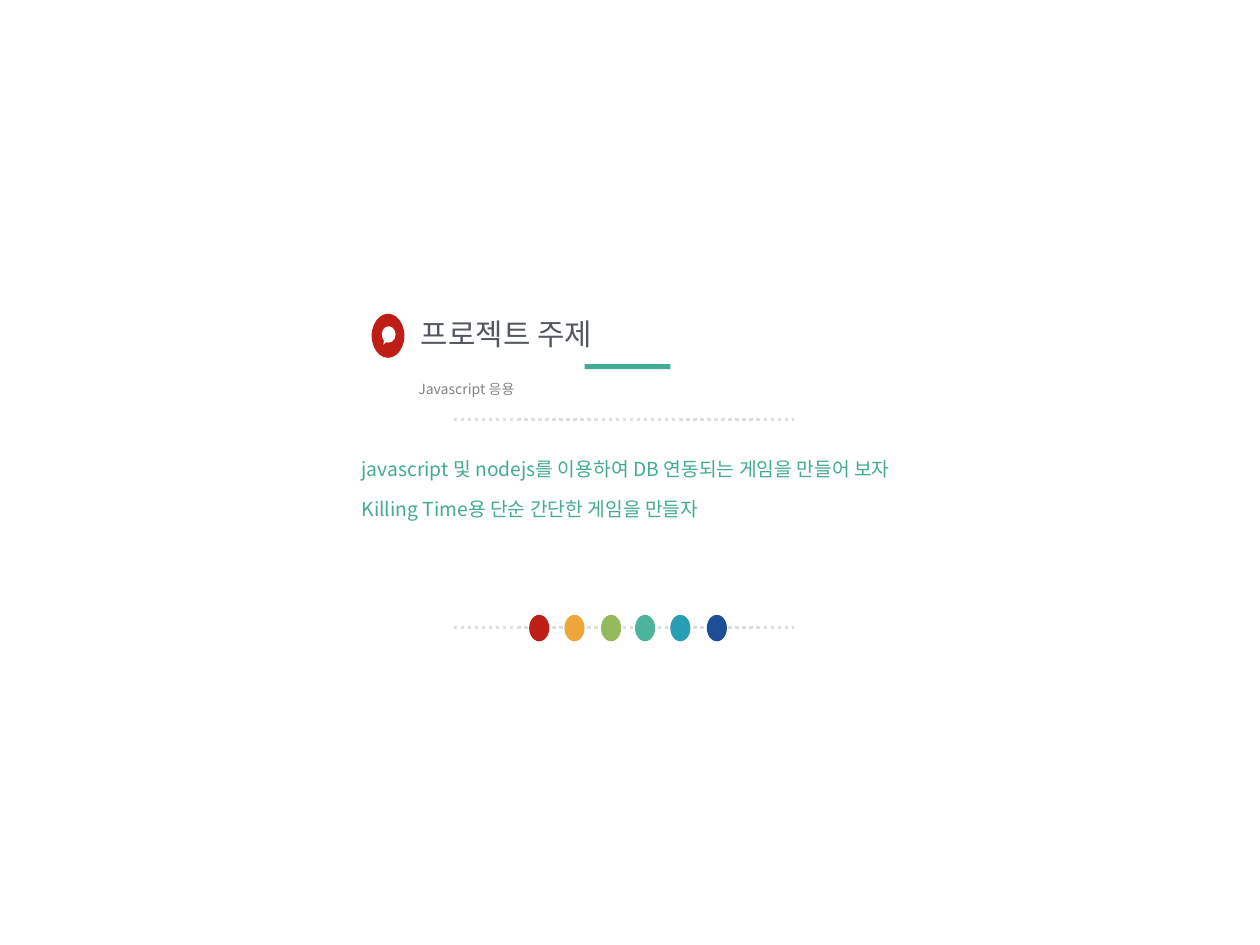
from dataclasses import dataclass

from pptx import Presentation
from pptx.dml.color import RGBColor
from pptx.enum.dml import MSO_LINE
from pptx.enum.shapes import MSO_CONNECTOR, MSO_SHAPE
from pptx.enum.text import MSO_ANCHOR
from pptx.oxml.ns import qn
from pptx.util import Inches, Pt
from lxml.etree import SubElement


@dataclass(frozen=True)
class Theme:
    font: str = "Noto Sans CJK KR"
    title_size: float = 17
    body_size: float = 11
    caption_size: float = 8
    title: str = "53585F"
    caption: str = "838383"
    accent: str = "43AB92"
    rule: str = "DCDEE0"
    badge: str = "BF1E16"
    bubble: str = "FFFFFF"
    dots: tuple = ("BF1E16", "EEA53A", "95BA5E", "4CB49C", "289EB5", "1D4F96")


theme = Theme()


def add_filled(shapes, kind, left, top, width, height, color):
    shape = shapes.add_shape(kind, Inches(left), Inches(top), Inches(width), Inches(height))
    shape.shadow.inherit = False
    shape.fill.solid()
    shape.fill.fore_color.rgb = RGBColor.from_string(color)
    shape.line.fill.background()
    return shape


def add_text(slide, left, top, width, height, lines, size, color, inset=0, spaced=True):
    box = slide.shapes.add_textbox(Inches(left), Inches(top), Inches(width), Inches(height))
    frame = box.text_frame
    frame.word_wrap = True
    frame.margin_left = frame.margin_right = Inches(inset)
    frame.margin_top = frame.margin_bottom = Inches(inset)
    for index, line in enumerate(lines):
        para = frame.add_paragraph() if index else frame.paragraphs[0]
        if spaced:
            para.line_spacing = 1.2
            para.space_before = Pt(7.1)
        span = para.add_run()
        span.text = line
        span.font.size = Pt(size)
        span.font.name = theme.font
        span.font.color.rgb = RGBColor.from_string(color)
        # East Asian letters take their font from a separate element
        SubElement(span.font._element, qn("a:ea"), typeface=theme.font)
    return frame


deck = Presentation()
deck.slide_width, deck.slide_height = Inches(10), Inches(7.5)
page = deck.slides.add_slide(deck.slide_layouts[6])

# Dotted rules above and below the body
for y in (3.33, 4.98):
    rule = page.shapes.add_connector(
        MSO_CONNECTOR.STRAIGHT, Inches(3.6), Inches(y), Inches(6.3), Inches(y))
    rule.line.color.rgb = RGBColor.from_string(theme.rule)
    rule.line.width = Pt(2)
    rule.line.dash_style = MSO_LINE.ROUND_DOT
    SubElement(rule._element.spPr, qn("a:effectLst"))

# Title, caption and body
title = add_text(page, 3.32, 2.46, 3.19, 0.38, ["프로젝트 주제"],
                 theme.title_size, theme.title, inset=0.02, spaced=False)
title.vertical_anchor = MSO_ANCHOR.MIDDLE
add_text(page, 3.32, 2.99, 3.19, 0.17, ["Javascript 응용"],
         theme.caption_size, theme.caption)
add_text(page, 2.87, 3.59, 4.63, 0.97,
         ["javascript 및 nodejs를 이용하여 DB 연동되는 게임을 만들어 보자",
          "Killing Time용 단순 간단한 게임을 만들자"],
         theme.body_size, theme.accent)

# Accent bar under the title
add_filled(page.shapes, MSO_SHAPE.RECTANGLE, 4.64, 2.89, 0.68, 0.04, theme.accent)

# Coloured dots on the lower rule
dot_lefts = (4.2, 4.48, 4.77, 5.04, 5.32, 5.61)
for left, color in zip(dot_lefts, theme.dots):
    add_filled(page.shapes, MSO_SHAPE.OVAL, left, 4.88, 0.16, 0.21, color)

# Badge with a speech bubble
badge = page.shapes.add_group_shape()
add_filled(badge.shapes, MSO_SHAPE.OVAL, 2.95, 2.49, 0.26, 0.35, theme.badge)
bubble = add_filled(badge.shapes, MSO_SHAPE.OVAL_CALLOUT, 3.03, 2.59, 0.11, 0.13, theme.bubble)
bubble.adjustments[0] = -0.38
bubble.adjustments[1] = 0.62

deck.save("out.pptx")
